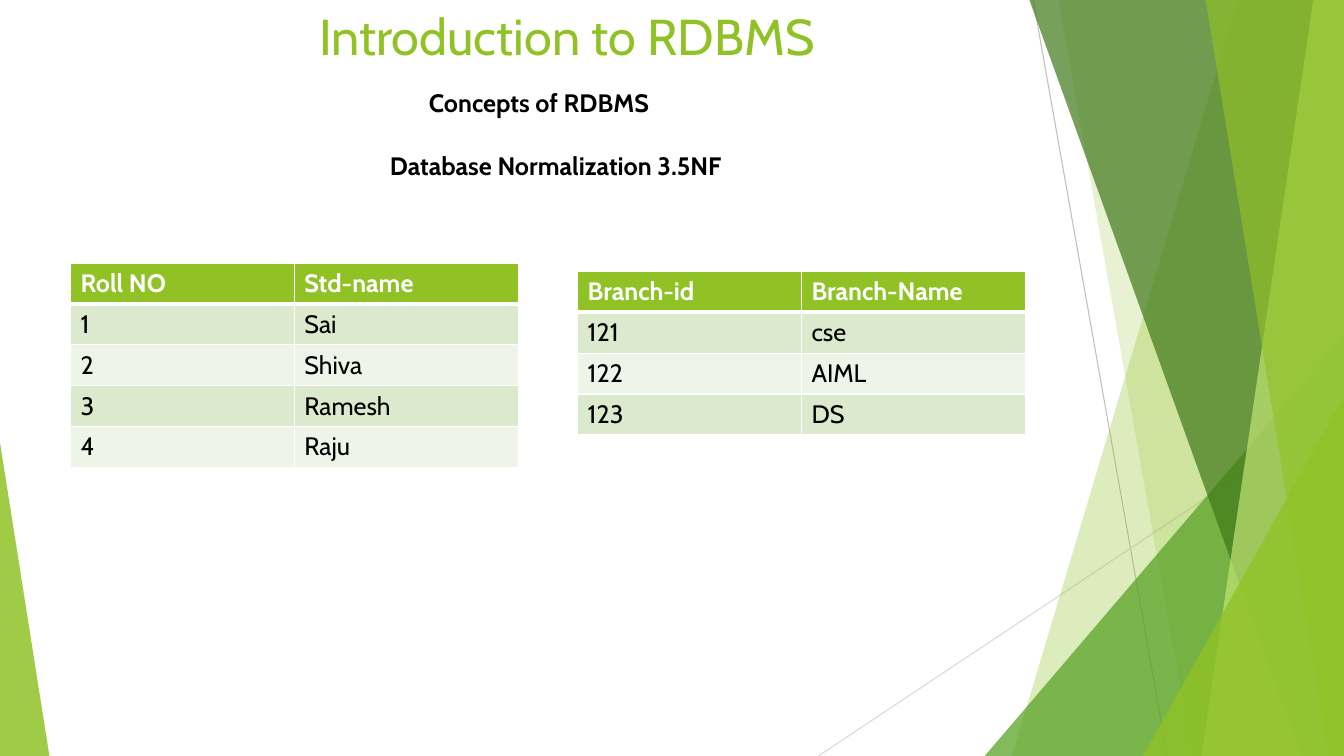
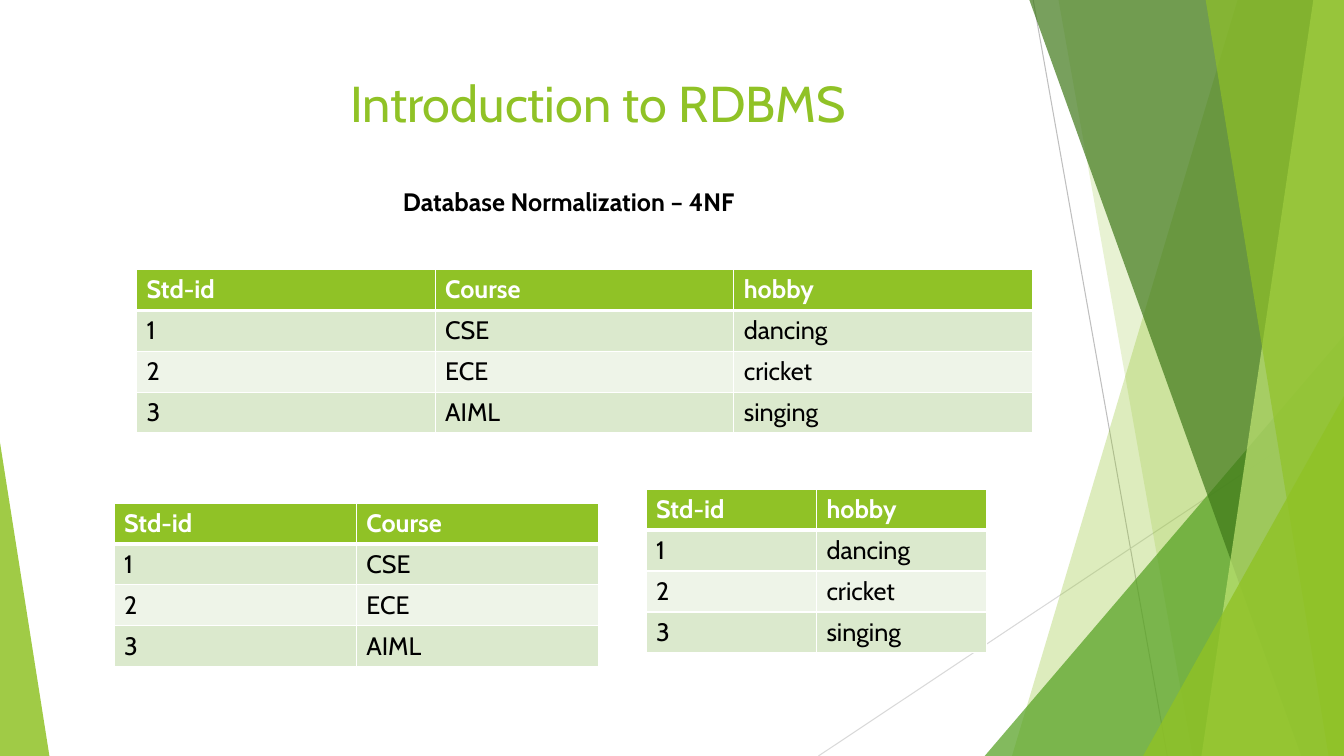
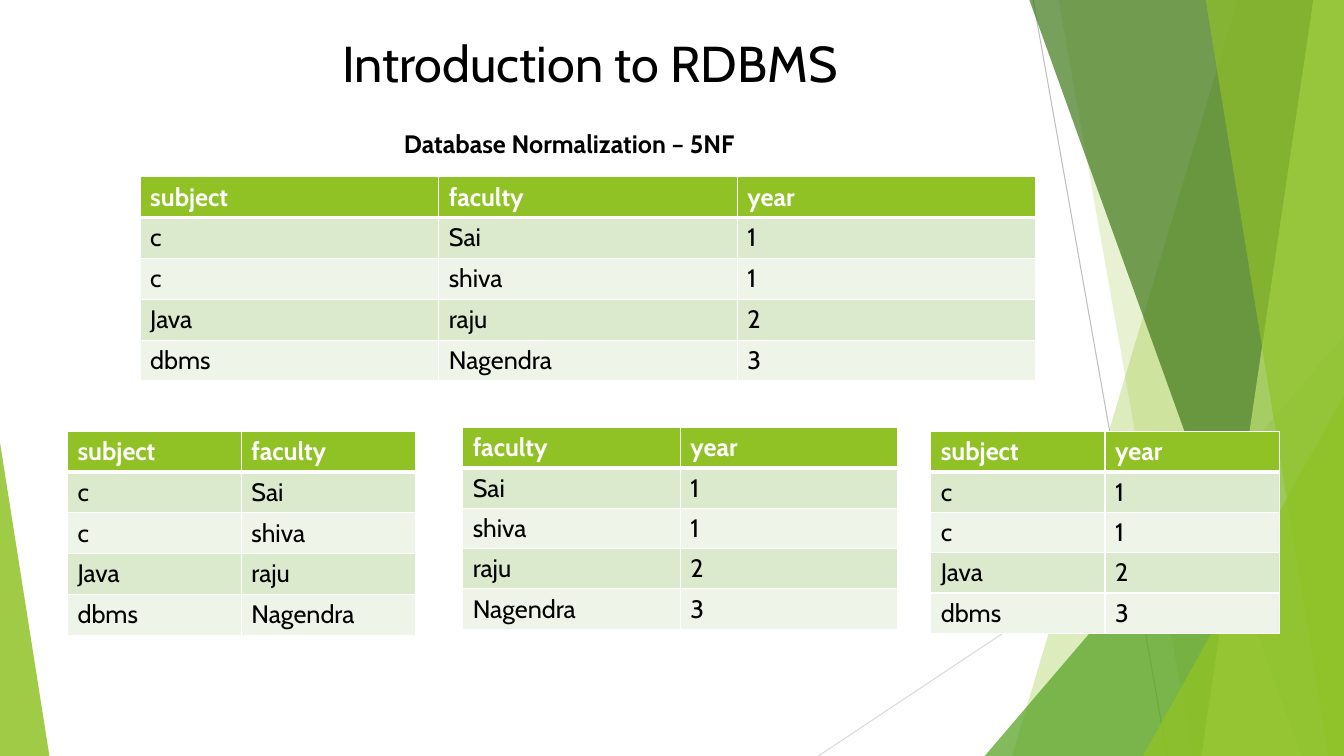
from dataclasses import dataclass

from lxml import etree
from pptx import Presentation
from pptx import util as u
from pptx.dml.color import RGBColor
from pptx.enum import shapes, text
from pptx.oxml import ns

WIDTH, HEIGHT = 960, 540
BLEED_TOP = -0.6
FONT = "Cabin"
TITLE = "Introduction to RDBMS"
TITLE_INDENT = 78.5
TOPIC_INDENT = 195
ROW_HEIGHT = 29.2
COLOURS = {
    "lime": "90C226",
    "pale lime": "C0E474",
    "green": "54A021",
    "forest": "3F7819",
    "grey": "BFBFBF",
    "light grey": "D9D9D9",
    "band dark": "DBE9CD",
    "band light": "EEF4E8",
    "white": "FFFFFF",
    "black": "000000",
}


@dataclass(frozen=True)
class Ray:
    start: tuple[float, float]
    end: tuple[float, float]
    colour: str


@dataclass(frozen=True)
class Facet:
    """Area from a slanted left edge to the right side of the slide."""
    top_x: float
    bottom_x: float
    colour: str
    alpha: int


@dataclass(frozen=True)
class Wedge:
    """Triangle standing on the bottom of the slide."""
    left: float
    top: float
    width: float
    apex: float
    colour: str
    alpha: int


@dataclass(frozen=True)
class Topic:
    wording: str
    left: float
    top: float
    width: float = 480.2
    height: float = 29.1
    indent: float = TOPIC_INDENT


@dataclass(frozen=True)
class Relation:
    left: float
    top: float
    width: float
    rows: list[tuple[str, ...]]
    row_height: float = ROW_HEIGHT


@dataclass(frozen=True)
class Page:
    title_box: tuple[float, float, float, float]
    title_colour: str
    topics: list[Topic]
    relations: list[Relation]


BACKDROP = [
    Ray((738, 0), (833.8, HEIGHT), "grey"),
    Ray((WIDTH, 290.2), (584.6, HEIGHT), "light grey"),
    Facet(884.2, 722.9, "lime", 30),
    Facet(756, 851.8, "lime", 20),
    Wedge(703.4, 239.8, 256.6, 1, "green", 72),
    Facet(735.1, 929.5, "forest", 70),
    Facet(938.2, 858.2, "pale lime", 70),
    Facet(861.1, 949, "lime", 65),
    Wedge(816.5, 283, 143.5, 1, "lime", 80),
    Wedge(0, 316.1, 35.3, 0, "lime", 85),
]

# Relations that are split into smaller ones
ENROLMENT = [("Std-id", "Course", "hobby"), ("1", "CSE", "dancing"),
             ("2", "ECE", "cricket"), ("3", "AIML", "singing")]
TEACHING = [("subject", "faculty", "year"), ("c", "Sai", "1"), ("c", "shiva", "1"),
            ("Java", "raju", "2"), ("dbms", "Nagendra", "3")]


def project(rows: list[tuple[str, ...]], *columns: int) -> list[tuple[str, ...]]:
    return [tuple(row[column] for column in columns) for row in rows]


PAGES = [
    Page((46.1, 0, 646.6, 50.4), "lime",
         [Topic("Concepts of RDBMS", 83.5, 59, 420.5, 51.1, 222.9),
          Topic("Database Normalization 3.5NF", 83.5, 103.7)],
         [Relation(50.4, 187.9, 319.7,
                   [("Roll NO", "Std-name"), ("1", "Sai"), ("2", "Shiva"),
                    ("3", "Ramesh"), ("4", "Raju")]),
          Relation(412.6, 193.9, 319.7,
                   [("Branch-id", "Branch-Name"), ("121", "cse"),
                    ("122", "AIML"), ("123", "DS")])]),
    Page((53.3, 48.2, 676.8, 103.7), "lime",
         [Topic("Database Normalization – 4NF", 92.9, 129.6)],
         [Relation(97.5, 192.5, 640, ENROLMENT),
          Relation(81.4, 359.3, 346.3, project(ENROLMENT, 0, 1)),
          Relation(461.5, 349.5, 243.4, project(ENROLMENT, 0, 2))]),
    Page((47.5, 19.4, 676.8, 103.7), "black",
         [Topic("Database Normalization – 5NF", 93.6, 87.8)],
         [Relation(100.1, 126.2, 640, TEACHING),
          Relation(48.2, 307.8, 248.4, project(TEACHING, 0, 1)),
          Relation(330.5, 305.3, 311, project(TEACHING, 1, 2), 28.6),
          Relation(664.8, 308.2, 249.1, project(TEACHING, 0, 2), 28.8)]),
]


def rgb(colour: str) -> RGBColor:
    return RGBColor.from_string(COLOURS[colour])


def style(paragraph, size: float, colour: str, bold: bool = False) -> None:
    font = paragraph.font
    font.name, font.size, font.bold = FONT, u.Pt(size), bold
    font.color.rgb = rgb(colour)


# Backdrop, kept on the layout
def draw_ray(parts, ray: Ray) -> None:
    line = parts.add_connector(shapes.MSO_CONNECTOR.STRAIGHT,
                               *map(u.Pt, ray.start + ray.end))
    line.line.color.rgb = rgb(ray.colour)
    line.line.width = u.Pt(0.75)
    etree.SubElement(line.element.spPr, ns.qn("a:effectLst"))


def draw_pane(parts, pane: Facet | Wedge) -> None:
    if isinstance(pane, Facet):
        outline = parts.build_freeform(u.Pt(pane.top_x), u.Pt(BLEED_TOP))
        corners = [(WIDTH, BLEED_TOP), (WIDTH, HEIGHT), (pane.bottom_x, HEIGHT)]
        outline.add_line_segments([(u.Pt(x), u.Pt(y)) for x, y in corners])
        glass = outline.convert_to_shape()
    else:
        glass = parts.add_shape(shapes.MSO_SHAPE.ISOSCELES_TRIANGLE, u.Pt(pane.left),
                                u.Pt(pane.top), u.Pt(pane.width),
                                u.Pt(HEIGHT - pane.top))
        glass.adjustments[0] = pane.apex
    glass.shadow.inherit = False
    glass.line.fill.background()
    glass.fill.solid()
    glass.fill.fore_color.rgb = rgb(pane.colour)
    tint = glass.element.spPr.find(ns.qn("a:solidFill"))[0]
    etree.SubElement(tint, ns.qn("a:alpha"), val=str(pane.alpha * 1000))


def draw_backdrop(slide, layout) -> None:
    backdrop = slide.shapes.add_group_shape()
    for part in BACKDROP:
        draw = draw_ray if isinstance(part, Ray) else draw_pane
        draw(backdrop.shapes, part)
    layout_tree = layout.shapes.element
    for placeholder in list(layout.placeholders):
        if placeholder.placeholder_format.type != shapes.PP_PLACEHOLDER.TITLE:
            layout_tree.remove(placeholder.element)
    layout_tree.insert(2, backdrop.element)


# Slide content
def write_title(slide, page: Page) -> None:
    title = slide.shapes.title
    title.left, title.top, title.width, title.height = map(u.Pt, page.title_box)
    frame = title.text_frame
    frame.text = TITLE
    frame.auto_size = text.MSO_AUTO_SIZE.NONE
    frame.vertical_anchor = text.MSO_ANCHOR.TOP
    frame.margin_left = u.Pt(TITLE_INDENT)
    heading = frame.paragraphs[0]
    heading.alignment = text.PP_ALIGN.CENTER
    style(heading, 36, page.title_colour)


def write_topic(slide, topic: Topic) -> None:
    frame = slide.shapes.add_textbox(u.Pt(topic.left), u.Pt(topic.top),
                                     u.Pt(topic.width), u.Pt(topic.height)).text_frame
    frame.word_wrap = True
    frame.margin_left = u.Pt(topic.indent)
    frame.text = topic.wording
    style(frame.paragraphs[0], 18, "black", bold=True)


def set_borders(cell, row: int) -> None:
    widths = {"L": 1, "R": 1, "T": 3 if row == 1 else 1, "B": 3 if row == 0 else 1}
    properties = cell._tc.get_or_add_tcPr()
    for place, (side, width) in enumerate(widths.items()):
        border = etree.Element(ns.qn(f"a:ln{side}"), w=str(u.Pt(width)))
        fill = etree.SubElement(border, ns.qn("a:solidFill"))
        etree.SubElement(fill, ns.qn("a:srgbClr"), val=COLOURS["white"])
        properties.insert(place, border)


def draw_relation(slide, relation: Relation) -> None:
    row_count, column_count = len(relation.rows), len(relation.rows[0])
    table = slide.shapes.add_table(
        row_count, column_count, u.Pt(relation.left), u.Pt(relation.top),
        u.Pt(relation.width), u.Pt(relation.row_height * row_count)).table
    for row, values in enumerate(relation.rows):
        table.rows[row].height = u.Pt(relation.row_height)
        header = row == 0
        band = "lime" if header else "band dark" if row % 2 else "band light"
        for column, value in enumerate(values):
            cell = table.cell(row, column)
            cell.text = value
            cell.fill.solid()
            cell.fill.fore_color.rgb = rgb(band)
            style(cell.text_frame.paragraphs[0], 18,
                  "white" if header else "black", bold=header)
            set_borders(cell, row)


def main() -> None:
    deck = Presentation()
    deck.slide_width, deck.slide_height = u.Pt(WIDTH), u.Pt(HEIGHT)
    title_only = deck.slide_layouts[5]
    for number, page in enumerate(PAGES):
        slide = deck.slides.add_slide(title_only)
        if number == 0:
            draw_backdrop(slide, title_only)
        write_title(slide, page)
        for topic in page.topics:
            write_topic(slide, topic)
        for relation in page.relations:
            draw_relation(slide, relation)
    deck.save("out.pptx")


if __name__ == "__main__":
    main()
